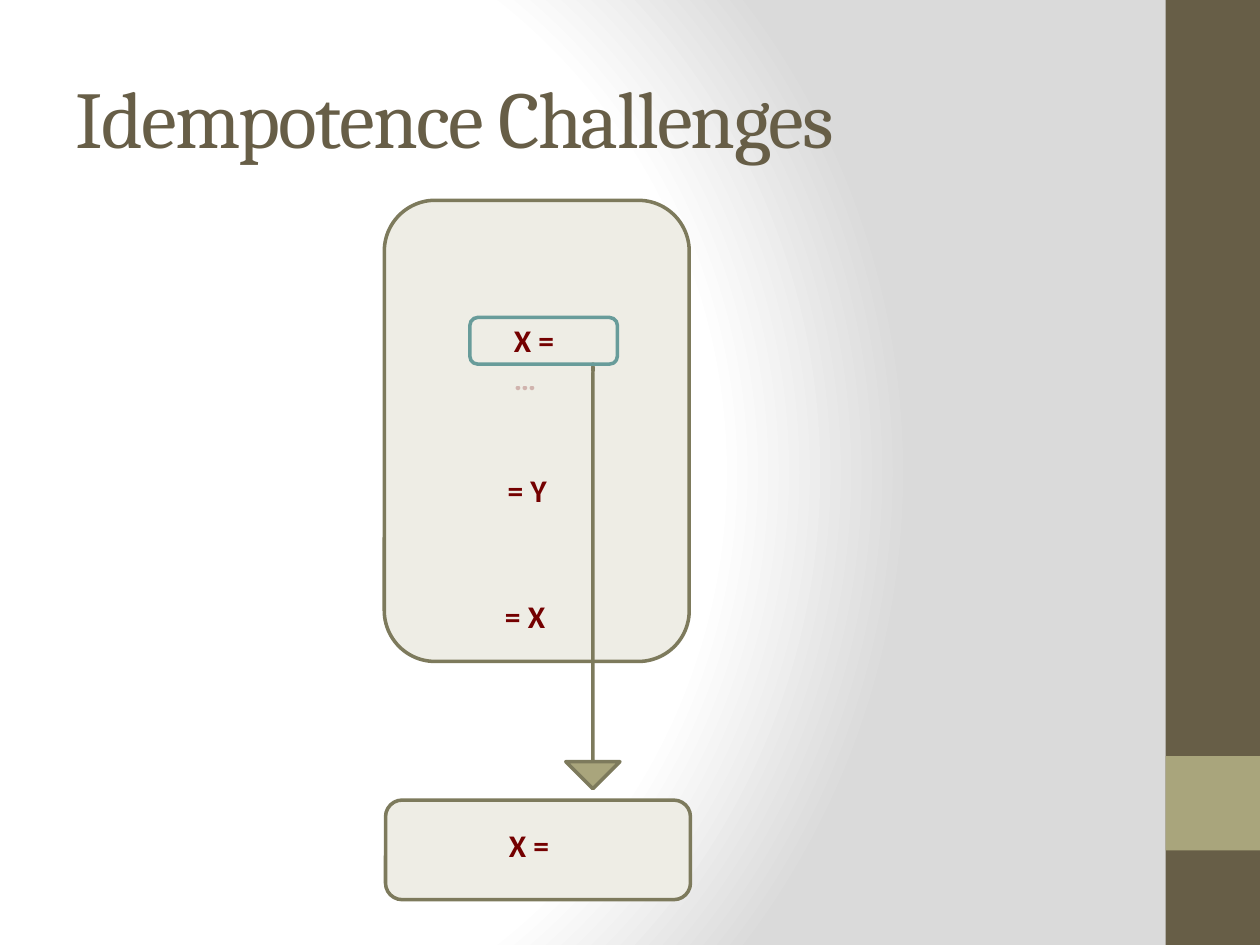
import pptx
import pptx.dml.color
import pptx.enum.shapes
import pptx.enum.text
import pptx.oxml
import pptx.oxml.ns
import pptx.util

Inches = pptx.util.Inches
Pt = pptx.util.Pt
RGBColor = pptx.dml.color.RGBColor
SHAPE = pptx.enum.shapes.MSO_SHAPE
ANCHOR = pptx.enum.text.MSO_ANCHOR

BROWN = RGBColor(0x67, 0x5E, 0x47)
KHAKI = RGBColor(0xA9, 0xA5, 0x7C)
OLIVE = RGBColor(0x7D, 0x7A, 0x5C)
CREAM = RGBColor(0xEE, 0xED, 0xE5)
TEAL = RGBColor(0x68, 0x9C, 0x9A)
MAROON = RGBColor(0x74, 0x00, 0x00)
WHITE = RGBColor(0xFF, 0xFF, 0xFF)
GREY = RGBColor(0xDA, 0xDA, 0xDA)

TITLE_FONT = {"name": "Cambria", "size": Pt(46)}
CODE_FONT = {"name": "Calibri", "size": Pt(18), "bold": True}


def add_background(s):
    s.background.fill.gradient()
    grad = s.element.xpath(".//a:gradFill")[0]
    stops = "".join(
        f'<a:gs pos="{pos * 1000}"><a:srgbClr val="{color}"/></a:gs>'
        for pos, color in ((0, WHITE), (75, WHITE), (100, GREY))
    )
    new_grad = pptx.oxml.parse_xml(
        f'<a:gradFill {pptx.oxml.ns.nsdecls("a")} rotWithShape="1">'
        f"<a:gsLst>{stops}</a:gsLst>"
        '<a:path path="circle">'
        '<a:fillToRect l="20000" t="50000" r="100000" b="50000"/>'
        "</a:path></a:gradFill>"
    )
    grad.getparent().replace(grad, new_grad)


def add_block(s, kind, left, top, width, height, fill=None, line=None):
    sp = s.shapes.add_shape(
        kind, Inches(left), Inches(top), Inches(width), Inches(height)
    )
    sp.shadow.inherit = False
    if fill is None:
        sp.fill.background()
    else:
        sp.fill.solid()
        sp.fill.fore_color.rgb = fill
    if line is None:
        sp.line.fill.background()
    else:
        sp.line.color.rgb = line
        sp.line.width = Pt(2)
    return sp


def add_text(s, left, top, width, height):
    sp = s.shapes.add_textbox(
        Inches(left), Inches(top), Inches(width), Inches(height)
    )
    sp.text_frame.word_wrap = True
    return sp.text_frame


def add_run(p, text, color, font):
    r = p.add_run()
    r.text = text
    for name, value in font.items():
        setattr(r.font, name, value)
    r.font.color.rgb = color
    return r


def add_sidebar(s, left, top, width, height):
    add_block(s, SHAPE.RECTANGLE, left, top, width, height, BROWN)
    add_block(s, SHAPE.RECTANGLE, left, top + height * 0.8, width, width, KHAKI)


def add_title(s, left, top, width, height):
    tf = add_text(s, left, top, width, height)
    tf.vertical_anchor = ANCHOR.MIDDLE
    r = add_run(tf.paragraphs[0], "Idempotence Challenges", BROWN, TITLE_FONT)
    r.font._element.set("spc", "-100")


def add_code(s, left, top, text, height=0.4):
    p = add_text(s, left, top, 0.67, height).paragraphs[0]
    add_run(p, text, MAROON, CODE_FONT)
    return p


def add_diagram(s, left, top, width, height):
    add_block(s, SHAPE.ROUNDED_RECTANGLE, left, top, width, 3.66, CREAM, OLIVE)
    add_code(s, left + 0.88, top + 2.1, "= Y")

    arrow = add_block(
        s, SHAPE.STRIPED_RIGHT_ARROW, left - 0.03, top + 2.77, 3.37, 0.43,
        KHAKI, OLIVE,
    )
    arrow.rotation = 90
    arrow.adjustments[0] = 0
    arrow.adjustments[1] = 0.5

    store_height = 0.79
    store_top = top + height - store_height
    add_block(
        s, SHAPE.ROUNDED_RECTANGLE, left + 0.01, store_top, width, store_height,
        CREAM, OLIVE,
    )

    p = add_code(s, left + 0.93, top + 0.91, "X =", 0.71)
    r = add_run(p, " …", MAROON, CODE_FONT)
    color = r.font._element.xpath(".//a:srgbClr")[0]
    color.append(pptx.oxml.parse_xml(
        f'<a:alpha {pptx.oxml.ns.nsdecls("a")} val="24000"/>'
    ))

    add_code(s, left + 0.89, store_top + 0.16, "X =")
    add_block(
        s, SHAPE.FLOWCHART_ALTERNATE_PROCESS, left + 0.68, top + 0.93, 1.17, 0.37,
        line=TEAL,
    )
    add_code(s, left + 0.86, top + 3.1, "= X")


def main():
    prs = pptx.Presentation()
    prs.slide_width = Inches(10)
    prs.slide_height = Inches(7.5)
    s = prs.slides.add_slide(prs.slide_layouts[6])
    add_background(s)
    add_sidebar(s, 9.25, 0, 0.75, 7.5)
    add_title(s, 0.5, 0.3, 8.33, 1.25)
    add_diagram(s, 3.05, 1.59, 2.42, 5.55)
    prs.save("out.pptx")


if __name__ == "__main__":
    main()
